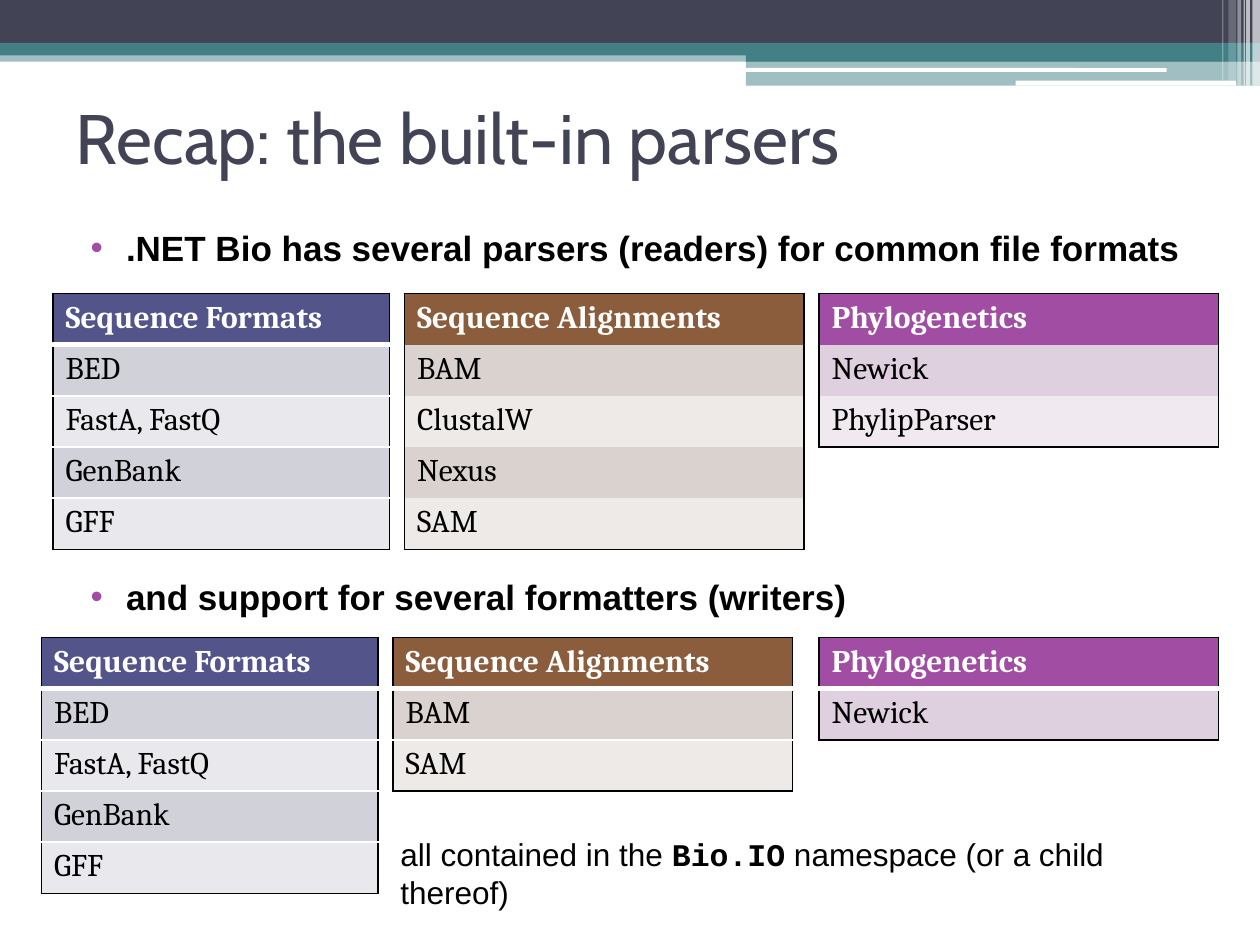
from lxml.etree import SubElement
from pptx import Presentation
from pptx.dml.color import RGBColor
from pptx.enum.shapes import MSO_SHAPE
from pptx.enum.text import MSO_ANCHOR, MSO_AUTO_SIZE, PP_ALIGN
from pptx.oxml import parse_xml
from pptx.oxml.ns import nsdecls, qn
from pptx.util import Inches, Pt

HUES = {
    "ink": "000000", "white": "FFFFFF", "slate": "424456", "teal": "438086",
    "blue": "53548A", "blue1": "D1D1DA", "blue2": "E9E9ED",
    "brown": "8B5D3D", "brown1": "DAD2CE", "brown2": "EEEAE8",
    "plum": "A04DA3", "plum1": "DFD0E0", "plum2": "F0E9F0",
}
BARS = [
    (0, 0.4, 10, 0.09, "teal", 50),
    (0, 0, 10, 0.34, "slate", 100),
    (0, 0.34, 10, 0.1, "teal", 100),
    (5.92, 0.39, 4.08, 0.1, "teal", 100),
    (5.92, 0.48, 4.08, 0.2, "teal", 50),
]
PILLS = [(5.91, 0.54, 3.35, 0.03, "white", 100), (8.06, 0.64, 1.75, 0.04, "white", 100)]
STRIPES = [
    (9.94, 0.06, 0.68, 65), (9.89, 0.03, 0.68, 65), (9.87, 0.01, 0.68, 60),
    (9.82, 0.03, 0.68, 40), (9.75, 0.06, 0.64, 20), (9.7, 0.01, 0.64, 30),
]
SEQS = ["Sequence Formats", "BED", "FastA, FastQ", "GenBank", "GFF"]
TABLES = [
    (0.42, 2.33, 2.67, "blue", SEQS, True),
    (3.21, 2.33, 3.17, "brown", ["Sequence Alignments", "BAM", "ClustalW", "Nexus", "SAM"], False),
    (6.5, 2.33, 3.17, "plum", ["Phylogenetics", "Newick", "PhylipParser"], False),
    (0.33, 5.06, 2.67, "blue", SEQS, True),
    (3.12, 5.06, 3.17, "brown", ["Sequence Alignments", "BAM", "SAM"], True),
    (6.5, 5.06, 3.17, "plum", ["Phylogenetics", "Newick"], True),
]


def rgb(name):
    """Return the named colour."""
    return RGBColor.from_string(HUES[name])


def style(run, size, face, hue="ink", bold=False):
    """Format one run of text."""
    font = run.font
    font.size, font.name, font.bold = Pt(size), face, bold
    font.color.rgb = rgb(hue)


def place(shape, box):
    """Move a shape to a box given in inches."""
    shape.left, shape.top, shape.width, shape.height = map(Inches, box)


def add_bar(slide, kind, box, hue, alpha):
    """Add one plain bar with the given opacity in percent."""
    bar = slide.shapes.add_shape(kind, *map(Inches, box))
    bar.shadow.inherit = False
    bar.line.fill.background()
    bar.fill.solid()
    bar.fill.fore_color.rgb = rgb(hue)
    if alpha < 100:
        tint = bar.fill._xPr.find(".//" + qn("a:srgbClr"))
        SubElement(tint, qn("a:alpha"), val=str(alpha * 1000))


def add_banner(slide):
    """Draw the layered bands along the top edge."""
    for *box, hue, alpha in BARS:
        add_bar(slide, MSO_SHAPE.RECTANGLE, box, hue, alpha)
    for *box, hue, alpha in PILLS:
        add_bar(slide, MSO_SHAPE.ROUNDED_RECTANGLE, box, hue, alpha)
    for left, width, height, alpha in STRIPES:
        add_bar(slide, MSO_SHAPE.RECTANGLE, (left, 0, width, height), "white", alpha)


def set_title(slide, box, text):
    """Fill the title placeholder."""
    title = slide.shapes.title
    place(title, box)
    frame = title.text_frame
    frame.text = text
    frame.vertical_anchor = MSO_ANCHOR.MIDDLE
    frame.auto_size = MSO_AUTO_SIZE.NONE
    para = frame.paragraphs[0]
    para.alignment = PP_ALIGN.LEFT
    style(para.runs[0], 40, "Cabin", "slate")


def set_body(slide, box, items):
    """Fill the body placeholder with bullets, each with its space before."""
    body = slide.placeholders[1]
    place(body, box)
    frame = body.text_frame
    frame.text = "\n".join(text for text, gap in items)
    frame.auto_size = MSO_AUTO_SIZE.NONE
    for para, (text, gap) in zip(frame.paragraphs, items):
        para.space_before = Pt(gap)
        style(para.runs[0], 20, "Arial", bold=True)
        props = para._p.get_or_add_pPr()
        props.set("marL", str(Inches(0.4)))
        props.set("indent", str(Inches(-0.28)))
        tint = SubElement(props, qn("a:buClr"))
        SubElement(tint, qn("a:srgbClr"), val=HUES["plum"])
        SubElement(props, qn("a:buFont"), typeface="Arial")
        SubElement(props, qn("a:buChar"), char="•")


def set_edges(cell, edges):
    """Set the left, right, top and bottom borders from (hue, points) or None."""
    props = cell._tc.get_or_add_tcPr()
    for spot, (side, edge) in enumerate(zip("LRTB", edges)):
        hue, width = edge or ("ink", 0)
        paint = f'<a:solidFill><a:srgbClr val="{HUES[hue]}"/></a:solidFill>' if edge else "<a:noFill/>"
        line = f'<a:ln{side} {nsdecls("a")} w="{Pt(width)}">{paint}</a:ln{side}>'
        props.insert(spot, parse_xml(line))


def add_list(slide, left, top, width, hue, words, ruled):
    """Add a one-column table with a header and banded rows."""
    count = len(words)
    height = Inches(2.03) * count // len(SEQS)
    frame = slide.shapes.add_table(count, 1, Inches(left), Inches(top), Inches(width), height)
    black = ("ink", 1)
    rules = [black] + [("white", 3 if row == 0 else 1) if ruled else None
                       for row in range(count - 1)] + [black]
    for row, word in enumerate(words):
        cell = frame.table.cell(row, 0)
        cell.text_frame.text = word
        head = row == 0
        style(cell.text_frame.paragraphs[0].runs[0], 18, "Cambria",
              "white" if head else "ink", head)
        cell.fill.solid()
        cell.fill.fore_color.rgb = rgb(hue if head else f"{hue}{2 - row % 2}")
        set_edges(cell, (black, black, rules[row], rules[row + 1]))


def add_note(slide, box):
    """Add the closing remark on the namespace."""
    frame = slide.shapes.add_textbox(*map(Inches, box)).text_frame
    frame.word_wrap = True
    para = frame.paragraphs[0]
    for text, face, bold in (
        ("all contained in the ", "Arial", False),
        ("Bio.IO", "Courier New", True),
        (" namespace (or a child thereof)", "Arial", False),
    ):
        run = para.add_run()
        run.text = text
        style(run, 18, face, bold=bold)


def main():
    """Build and save the slide."""
    deck = Presentation()
    deck.slide_width, deck.slide_height = Inches(10), Inches(7.5)
    slide = deck.slides.add_slide(deck.slide_layouts[1])
    add_banner(slide)
    set_title(slide, (0.5, 0.5, 9, 1.17), "Recap: the built-in parsers")
    set_body(slide, (0.5, 1.75, 9, 3.25), [
        (".NET Bio has several parsers (readers) for common file formats", 3),
        ("and support for several formatters (writers)", 175),
    ])
    for table in TABLES:
        add_list(slide, *table)
    add_note(slide, (3.08, 6.58, 6.67, 0.4))
    deck.save("out.pptx")


if __name__ == "__main__":
    main()
